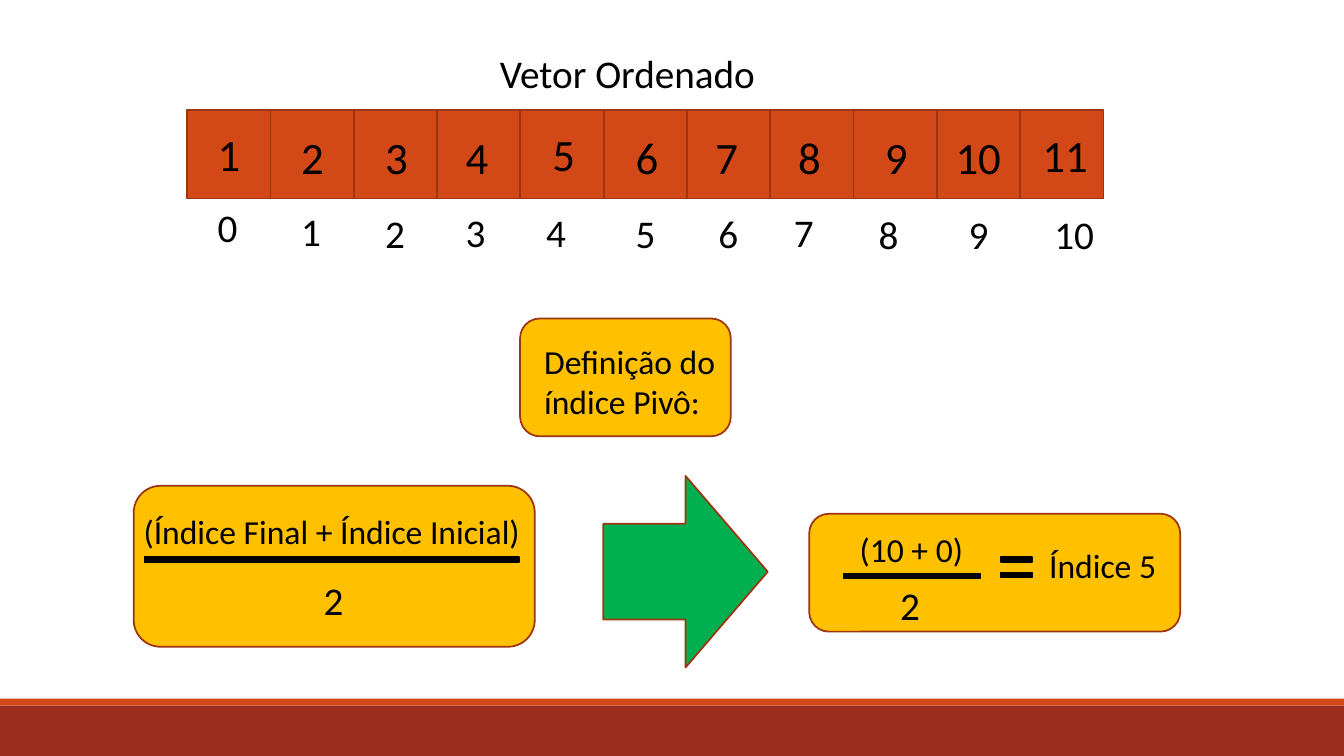
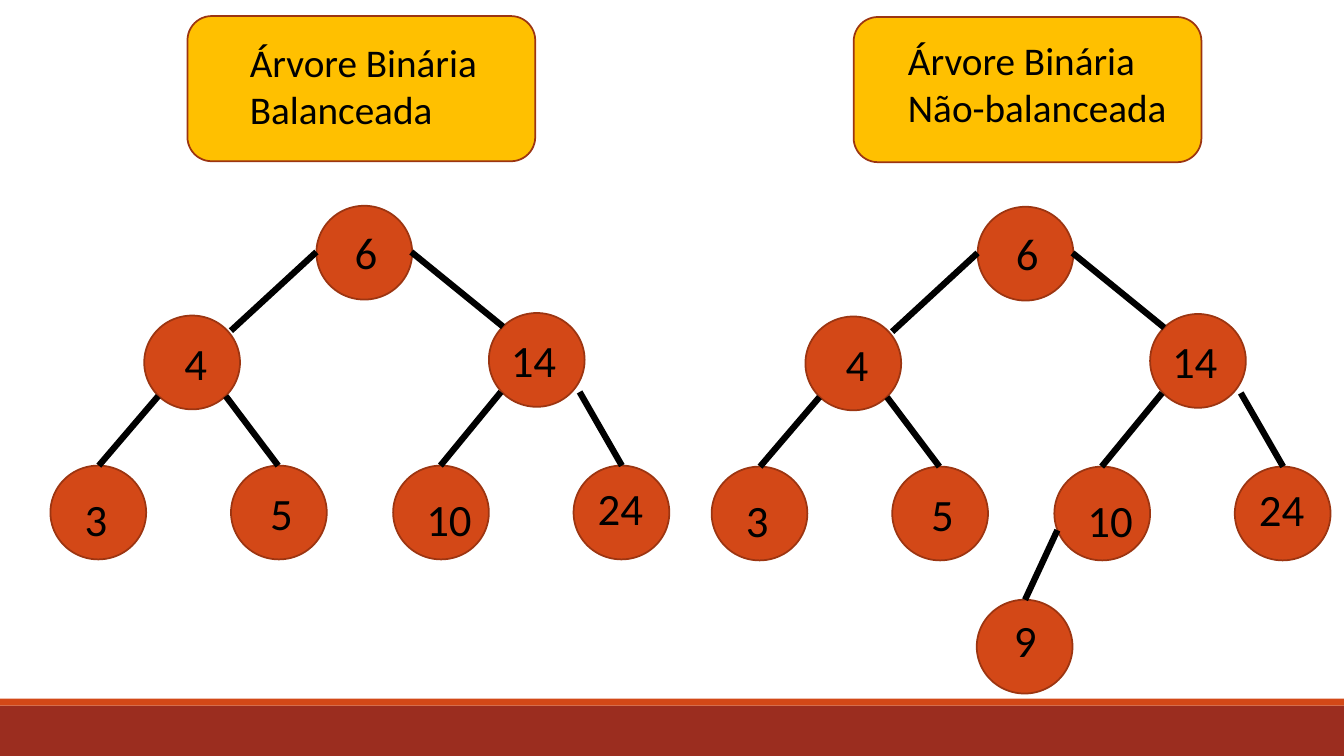
from lxml import etree
from pptx import Presentation
from pptx.dml.color import RGBColor
from pptx.enum.shapes import MSO_CONNECTOR, MSO_SHAPE
from pptx.oxml.ns import qn
from pptx.util import Pt

RECTANGLE = MSO_SHAPE.RECTANGLE
ROUNDED = MSO_SHAPE.ROUNDED_RECTANGLE
ELLIPSE = MSO_SHAPE.OVAL
RIGHT_ARROW = MSO_SHAPE.RIGHT_ARROW
STRAIGHT = MSO_CONNECTOR.STRAIGHT

FONT = "Calibri"
ORANGE = "D34817"
BRICK = "9B2D1F"
OUTLINE = "9C3511"
YELLOW = "FFC000"
GREEN = "00B050"
BLACK = "000000"


def add_figure(page, kind, left, top, width, height, fill, outline=OUTLINE):
    shape = page.shapes.add_shape(kind, Pt(left), Pt(top), Pt(width), Pt(height))
    shape.shadow.inherit = False
    shape.fill.solid()
    shape.fill.fore_color.rgb = RGBColor.from_string(fill)
    if outline:
        shape.line.color.rgb = RGBColor.from_string(outline)
        shape.line.width = Pt(1.25)
    else:
        shape.line.fill.background()
    return shape


def add_label(page, text, left, top, width, size):
    """Add black text, one paragraph for each line of text."""
    lines = text.split("\n")
    height = len(lines) * size * 1.2 + 7.2
    box = page.shapes.add_textbox(Pt(left), Pt(top), Pt(width), Pt(height))
    frame = box.text_frame
    frame.word_wrap = True
    frame.text = text
    for paragraph in frame.paragraphs:
        paragraph.font.name = FONT
        paragraph.font.size = Pt(size)
        paragraph.font.color.rgb = RGBColor.from_string(BLACK)


deck = Presentation()
deck.slide_width = Pt(960)
deck.slide_height = Pt(540)
blank = deck.slide_layouts[6]
vector_page = deck.slides.add_slide(blank)
tree_page = deck.slides.add_slide(blank)

# Footer bands belong to the layout, so both slides show them
for top, height, fill in [(504, 36, BRICK), (499, 5, ORANGE)]:
    band = add_figure(vector_page, RECTANGLE, 0, top, 960, height, fill, None)
    blank.shapes.element.append(band.element)

# Slide 1: sorted vector
CELL_LEFT, CELL_WIDTH = 133.7, 59.5
value_places = [
    (148.3, 87), (208, 89.3), (268, 89.3), (325.5, 89.3), (387.5, 87), (447, 89.3),
    (504, 89.3), (563, 89.3), (625, 89.3), (675.5, 89.3), (737.5, 87.8),
]
index_places = [
    (148.3, 142), (208, 144.7), (268, 146.2), (325.5, 145.5), (383, 145.5), (447, 146.2),
    (506, 146.2), (560, 145.5), (620.5, 147), (684.7, 147), (746, 147),
]
for index in range(11):
    add_figure(vector_page, RECTANGLE, CELL_LEFT + index * CELL_WIDTH, 78.5,
               CELL_WIDTH, 63.4, ORANGE)
    add_label(vector_page, str(index + 1), *value_places[index], 61, 32)
    add_label(vector_page, str(index), *index_places[index], 49, 28)

# Slide 1: pivot formula
for left, top, width, height in [
    (371.5, 227.5, 150.5, 84.2), (95.5, 347, 286.5, 115), (578, 367, 265, 84.2),
]:
    add_figure(vector_page, ROUNDED, left, top, width, height, YELLOW)
add_figure(vector_page, RIGHT_ARROW, 431, 340, 117.4, 136.8, GREEN)

# Fraction bars and the two strokes of the equals sign
for left, top, width in [
    (103.2, 398, 267.8), (602.6, 409.7, 97.2), (715, 398, 22.3), (715, 409, 22.3),
]:
    add_figure(vector_page, RECTANGLE, left, top, width, 3.6, BLACK, BLACK)

for text, left, top, width, size in [
    ("Vetor Ordenado", 350, 31.7, 220, 28),
    ("Definição do índice Pivô:", 381.6, 239.8, 150, 24),
    ("(Índice Final + Índice Inicial)", 95.5, 361.4, 315, 24),
    ("2", 224, 408.2, 34, 28),
    ("(10 + 0)", 607, 374.4, 133, 24),
    ("2", 635.8, 411.8, 34, 28),
    ("Índice 5", 742.3, 386, 110, 24),
]:
    add_label(vector_page, text, left, top, width, size)

# Slide 2: nodes are value, circle left and top, label left and top
balanced_nodes = [
    ("6", 226, 147, 246.2, 157),
    ("4", 103, 225.4, 124.6, 236.2),
    ("14", 349.2, 223.6, 357.8, 234.2),
    ("3", 36, 332.6, 53.3, 347.8),
    ("5", 165, 332.6, 185.8, 343.4),
    ("10", 280.8, 332.6, 297.4, 347.8),
    ("24", 409.7, 332.6, 419.8, 339.8),
]
balanced_edges = [
    (226, 180, 165, 236.2), (293.8, 180, 359.3, 233.3),
    (113, 283, 70.6, 332.6), (161.3, 283, 198.7, 332.6),
    (357.8, 280, 314.6, 332.6), (414, 280, 444.2, 332.6),
]
unbalanced_nodes = balanced_nodes + [("9", 225.4, 427.7, 244.8, 433.5)]
unbalanced_edges = balanced_edges + [(283, 378, 259.9, 427.7)]

# Each tree: shift right and down, title box, title place, title, nodes, edges
trees = [
    (0, 0, 133.9, 171.4, 23.8, "Árvore Binária\nBalanceada",
     balanced_nodes, balanced_edges),
    (472.3, 0.7, 609.8, 641.5, 22.3, "Árvore Binária\nNão-balanceada",
     unbalanced_nodes, unbalanced_edges),
]
for right, down, box_left, title_left, title_top, title, nodes, edges in trees:
    add_figure(tree_page, ROUNDED, box_left, 11.5 + down, 248.4, 103.7, YELLOW)
    add_label(tree_page, title, title_left, title_top, 205, 28)
    for value, left, top, label_left, label_top in nodes:
        add_figure(tree_page, ELLIPSE, left + right, top + down, 68.4, 67, ORANGE)
        add_label(tree_page, value, label_left + right, label_top + down, 60, 32)
    for x1, y1, x2, y2 in edges:
        edge = tree_page.shapes.add_connector(
            STRAIGHT, Pt(x1 + right), Pt(y1 + down), Pt(x2 + right), Pt(y2 + down))
        edge.line.color.rgb = RGBColor.from_string(BLACK)
        edge.line.width = Pt(4.5)
        etree.SubElement(edge.element.spPr, qn("a:effectLst"))

deck.save("out.pptx")
